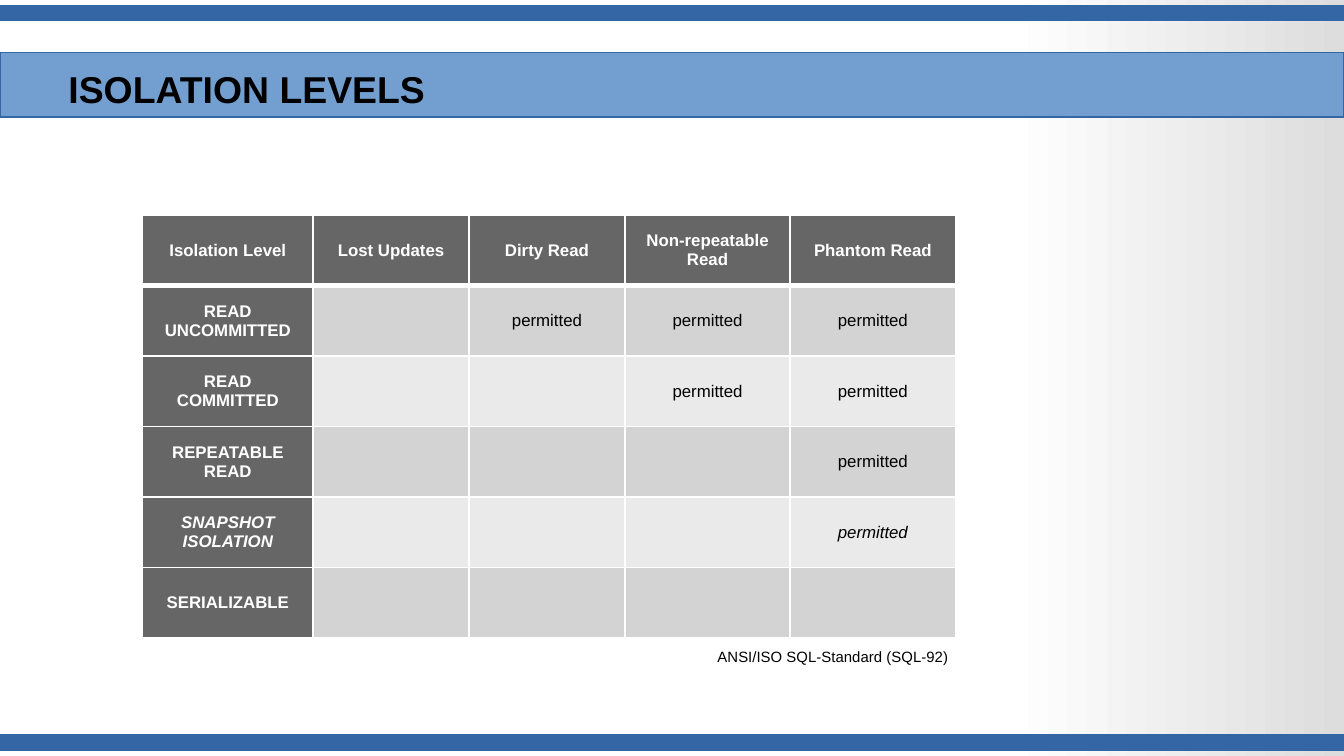
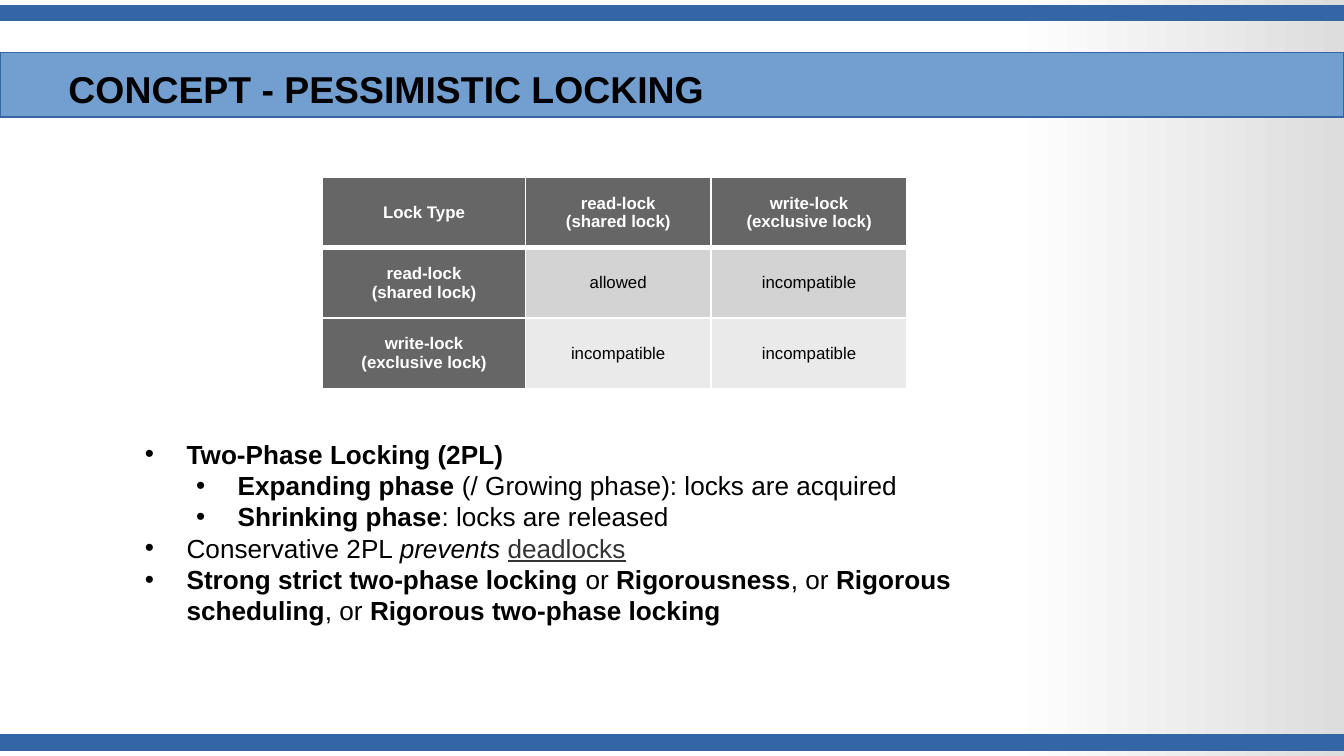
from lxml import etree
from pptx import Presentation
from pptx.dml.color import RGBColor
from pptx.enum.shapes import MSO_SHAPE
from pptx.enum.text import MSO_ANCHOR, PP_ALIGN
from pptx.oxml.ns import qn
from pptx.util import Inches, Pt

RECTANGLE = MSO_SHAPE.RECTANGLE
MIDDLE, TOP = MSO_ANCHOR.MIDDLE, MSO_ANCHOR.TOP
CENTER = PP_ALIGN.CENTER

FONT = "Arial"
BLACK, WHITE, LINK_GREY = "000000", "FFFFFF", "333333"
BACKGROUND_END = "DDDDDD"
DARK_BLUE, LIGHT_BLUE = "3465A4", "729FCF"
HEADER_GREY = "666666"
ROW_GREYS = ("D3D3D3", "EAEAEA")
THIN_BORDER, THICK_BORDER = 0.96, 3

# Bands on every slide: top, height, fill
BANDS = [(0.39, 0.48, LIGHT_BLUE), (5.47, 0.11, DARK_BLUE), (0.04, 0.11, DARK_BLUE)]

# Slide 1 (\v is a line break inside a paragraph)
ISOLATION_ROWS = [
    ["Isolation Level", "Lost Updates", "Dirty Read", "Non-repeatable Read", "Phantom Read"],
    ["READ UNCOMMITTED", "", "permitted", "permitted", "permitted"],
    ["READ COMMITTED", "", "", "permitted", "permitted"],
    ["REPEATABLE READ", "", "", "", "permitted"],
    ["SNAPSHOT\vISOLATION", "", "", "", "permitted"],
    ["SERIALIZABLE", "", "", "", ""],
]
ISOLATION_WIDTHS = [1.27, 1.16, 1.16, 1.23, 1.23]
SNAPSHOT_ROW = 4
STANDARD_NOTE = "ANSI/ISO SQL-Standard (SQL-92)"

# Slide 2
READ_LOCK = "read-lock\n(shared lock)"
WRITE_LOCK = "write-lock\n(exclusive lock)"
LOCK_ROWS = [
    ["Lock Type", READ_LOCK, WRITE_LOCK],
    [READ_LOCK, "allowed", "incompatible"],
    [WRITE_LOCK, "incompatible", "incompatible"],
]
LOCK_WIDTHS = [1.51, 1.38, 1.46]

# Bullets: level, then spans of text and style (b bold, i italic, u underlined)
LOCKING_POINTS = [
    (0, [("Two-Phase Locking (2PL)", "b")]),
    (1, [("Expanding phase", "b"), (" (/ Growing phase): locks are acquired", "")]),
    (1, [("Shrinking phase", "b"), (": locks are released", "")]),
    (0, [("Conservative 2PL ", ""), ("prevents ", "i"), ("deadlocks", "u")]),
    (0, [("Strong strict two-phase locking ", "b"), ("or ", ""), ("Rigorousness", "b"),
         (", or ", ""), ("Rigorous scheduling", "b"), (", or ", ""),
         ("Rigorous two-phase locking", "b")]),
]
BULLET_INDENTS = (0.31, 0.69)


def color(hex_value):
    return RGBColor.from_string(hex_value)


def set_font(font, size, hex_value=BLACK, bold=False, italic=False):
    font.name = FONT
    font.size = Pt(size)
    font.bold = bold
    font.italic = italic
    font.color.rgb = color(hex_value)


def add_text_box(slide, left, top, width, height, anchor=TOP):
    box = slide.shapes.add_textbox(Inches(left), Inches(top), Inches(width), Inches(height))
    box.text_frame.word_wrap = True
    box.text_frame.vertical_anchor = anchor
    return box.text_frame


def add_slide(deck, title):
    """Add a blank slide with the shared background, bands and title."""
    slide = deck.slides.add_slide(deck.slide_layouts[6])
    fill = slide.background.fill
    fill.gradient()
    fill.gradient_angle = 0
    for stop, position, shade in zip(fill.gradient_stops, (0.75, 1), (WHITE, BACKGROUND_END)):
        stop.position = position
        stop.color.rgb = color(shade)

    for top, height, shade in BANDS:
        band = slide.shapes.add_shape(
            RECTANGLE, 0, Inches(top), deck.slide_width, Inches(height))
        band.shadow.inherit = False
        band.fill.solid()
        band.fill.fore_color.rgb = color(shade)
        band.line.color.rgb = color(DARK_BLUE)
        band.line.width = 0

    frame = add_text_box(slide, 0.43, 0.35, 7.57, 0.65, MIDDLE)
    frame.margin_left = frame.margin_right = Inches(0.08)
    frame.margin_top = frame.margin_bottom = Inches(0.04)
    para = frame.paragraphs[0]
    para.text = title
    para.line_spacing = 0.95
    set_font(para.font, 20, bold=True)
    return slide


def set_border(cell, side, points):
    line = etree.SubElement(cell._tc.get_or_add_tcPr(), qn(f"a:ln{side}"), w=str(Pt(points)))
    fill = etree.SubElement(line, qn("a:solidFill"))
    etree.SubElement(fill, qn("a:srgbClr"), val=WHITE)


def add_grid(slide, rows, widths, left, top, height, italic_row=None):
    """Add a table with a dark header row and column and alternating body rows."""
    table = slide.shapes.add_table(
        len(rows), len(widths), Inches(left), Inches(top),
        Inches(sum(widths)), Inches(height)).table
    table.first_col = True
    table.horz_banding = False
    for column, width in zip(table.columns, widths):
        column.width = Inches(width)

    for r, texts in enumerate(rows):
        table.rows[r].height = Inches(height / len(rows))
        for c, text in enumerate(texts):
            cell = table.cell(r, c)
            is_header = r == 0 or c == 0
            # The edge under the header row is thicker than the others
            thick_side = {0: "B", 1: "T"}.get(r)
            for side in "LRTB":
                set_border(cell, side, THICK_BORDER if side == thick_side else THIN_BORDER)
            cell.fill.solid()
            cell.fill.fore_color.rgb = color(HEADER_GREY if is_header else ROW_GREYS[(r - 1) % 2])
            cell.vertical_anchor = MIDDLE
            cell.margin_left = cell.margin_right = Inches(0.07)
            cell.margin_top = cell.margin_bottom = Inches(0.05)
            cell.text = text
            for para in cell.text_frame.paragraphs:
                para.alignment = CENTER
                set_font(para.font, 9, WHITE if is_header else BLACK, is_header, r == italic_row)


def add_bullet(para, level):
    para.level = level
    properties = para._p.get_or_add_pPr()
    properties.set("marL", str(Inches(BULLET_INDENTS[level])))
    properties.set("indent", str(-Inches(BULLET_INDENTS[0])))
    bullet_color = etree.SubElement(properties, qn("a:buClr"))
    etree.SubElement(bullet_color, qn("a:srgbClr"), val=BLACK)
    etree.SubElement(properties, qn("a:buFont"), typeface=FONT)
    etree.SubElement(properties, qn("a:buChar"), char="•")


def add_bullets(slide, points, left, top, width, height):
    frame = add_text_box(slide, left, top, width, height)
    for index, (level, spans) in enumerate(points):
        para = frame.add_paragraph() if index else frame.paragraphs[0]
        add_bullet(para, level)
        for text, style in spans:
            span = para.add_run()
            span.text = text
            set_font(span.font, 14, LINK_GREY if style == "u" else BLACK,
                     style == "b", style == "i")
            span.font.underline = style == "u"


def main():
    deck = Presentation()
    deck.slide_width = Inches(10)
    deck.slide_height = deck.slide_width * 9 // 16

    # Isolation levels
    slide = add_slide(deck, "ISOLATION LEVELS")
    add_grid(slide, ISOLATION_ROWS, ISOLATION_WIDTHS, 1.06, 1.6, 3.15, SNAPSHOT_ROW)
    note = add_text_box(slide, 5.24, 4.77, 1.97, 0.23).paragraphs[0]
    note.text = STANDARD_NOTE
    set_font(note.font, 8)

    # Pessimistic locking
    slide = add_slide(deck, "CONCEPT - PESSIMISTIC LOCKING")
    add_grid(slide, LOCK_ROWS, LOCK_WIDTHS, 2.4, 1.32, 1.57)
    add_bullets(slide, LOCKING_POINTS, 0.98, 3.21, 6.85, 1.73)

    deck.save("out.pptx")


if __name__ == "__main__":
    main()
